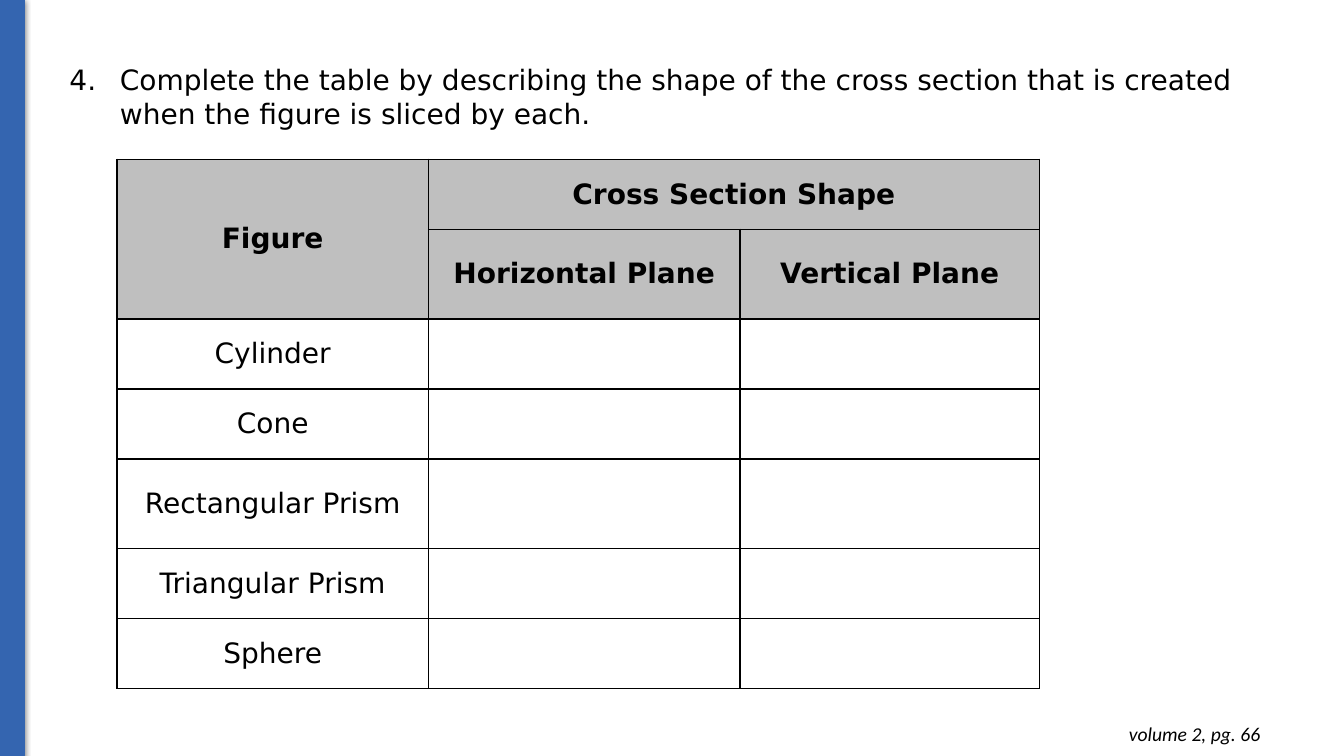
import lxml.etree
import pptx
import pptx.dml.color
import pptx.enum.shapes
import pptx.enum.text
import pptx.oxml.ns
import pptx.util

Inches = pptx.util.Inches
Pt = pptx.util.Pt
qn = pptx.oxml.ns.qn
ALIGN = pptx.enum.text.PP_ALIGN


def rgb(value):
    return pptx.dml.color.RGBColor.from_string(value)


def add_xml(parent, tag, **attrs):
    return lxml.etree.SubElement(parent, qn(tag), {k: str(v) for k, v in attrs.items()})


class Worksheet:
    """Holds the style and the current slide."""

    BLUE, BLACK, GRAY = "3465B0", "000000", "BFBFBF"
    BODY, FOOT = "DejaVu Sans", "Calibri"

    def __init__(self, slide):
        self.s = slide

    def run(self, p, text, size=20, font=BODY, bold=False, italic=False):
        r = p.add_run()
        r.text = text
        r.font.size = Pt(size)
        r.font.name = font
        r.font.bold = bold
        r.font.italic = italic
        r.font.color.rgb = rgb(self.BLACK)

    def side_bar(self, x, y, w, h):
        sp = self.s.shapes.add_shape(pptx.enum.shapes.MSO_SHAPE.RECTANGLE,
                                     Inches(x), Inches(y), Inches(w), Inches(h))
        sp.fill.solid()
        sp.fill.fore_color.rgb = rgb(self.BLUE)
        sp.line.color.rgb = rgb(self.BLUE)
        sp.line.width = Pt(0.75)
        sp.shadow.inherit = False
        effects = sp._element.spPr.find(qn("a:effectLst"))
        shadow = add_xml(effects, "a:outerShdw", blurRad=Pt(4.5), dist=Pt(1.5),
                         dir=90 * 60000, algn="ctr", rotWithShape=0)
        color = add_xml(shadow, "a:srgbClr", val=self.BLACK)
        add_xml(color, "a:alpha", val=50000)

    def text_box(self, x, y, w, h):
        sp = self.s.shapes.add_textbox(Inches(x), Inches(y), Inches(w), Inches(h))
        sp.text_frame.word_wrap = True
        return sp.text_frame

    def question(self, number, text, *box):
        p = self.text_box(*box).paragraphs[0]
        pPr = p._p.get_or_add_pPr()
        pPr.set("marL", str(Inches(0.5)))
        pPr.set("indent", str(Inches(-0.5)))
        color = add_xml(pPr, "a:buClr")
        add_xml(color, "a:srgbClr", val=self.BLACK)
        add_xml(pPr, "a:buFont", typeface=self.BODY)
        add_xml(pPr, "a:buAutoNum", type="arabicPeriod", startAt=number)
        self.run(p, text)

    def page_reference(self, text, *box):
        tf = self.text_box(*box)
        tf.margin_top = tf.margin_bottom = Inches(0.1)
        p = tf.paragraphs[0]
        p.alignment = ALIGN.RIGHT
        self.run(p, text, size=14, font=self.FOOT, italic=True)

    def cell(self, cell, text, header):
        tcPr = cell._tc.get_or_add_tcPr()
        for side in ("L", "R", "T", "B"):
            line = add_xml(tcPr, "a:ln" + side, w=Pt(1))
            fill = add_xml(line, "a:solidFill")
            add_xml(fill, "a:srgbClr", val=self.BLACK)
        if header:
            cell.fill.solid()
            cell.fill.fore_color.rgb = rgb(self.GRAY)
        else:
            cell.fill.background()
        cell.margin_left = cell.margin_right = Inches(0.07)
        cell.margin_top = cell.margin_bottom = 0
        cell.vertical_anchor = pptx.enum.text.MSO_ANCHOR.MIDDLE
        if text:
            p = cell.text_frame.paragraphs[0]
            p.alignment = ALIGN.CENTER
            self.run(p, text, bold=header)

    def table(self, x, y, widths, heights, rows, header_rows):
        frame = self.s.shapes.add_table(len(rows), len(widths), Inches(x), Inches(y),
                                        Inches(sum(widths)), Inches(sum(heights)))
        table = frame.table
        table.first_row = table.horz_banding = False
        for column, width in zip(table.columns, widths):
            column.width = Inches(width)
        for i, (row, height) in enumerate(zip(rows, heights)):
            table.rows[i].height = Inches(height)
            for j, text in enumerate(row):
                self.cell(table.cell(i, j), text, i < header_rows)
        return table


def main():
    prs = pptx.Presentation()
    prs.slide_width, prs.slide_height = Inches(13.33), Inches(7.5)
    sheet = Worksheet(prs.slides.add_slide(prs.slide_layouts[6]))

    sheet.side_bar(0, -0.01, 0.24, 7.51)
    sheet.page_reference("volume 2, pg. 66", 9.72, 7.06, 2.88, 0.44)
    sheet.question(4, "Complete the table by describing the shape of the cross section "
                   "that is created when the figure is sliced by each.",
                   0.59, 0.57, 11.81, 0.77)

    figures = ["Cylinder", "Cone", "Rectangular Prism", "Triangular Prism", "Sphere"]
    rows = [["Figure", "Cross Section Shape", ""],
            ["", "Horizontal Plane", "Vertical Plane"]]
    rows += [[figure, "", ""] for figure in figures]
    low, tall = 0.695, 0.89
    table = sheet.table(1.16, 1.58, [3.09, 3.09, 2.97],
                        [low, tall, low, low, tall, low, low], rows, header_rows=2)
    table.cell(0, 0).merge(table.cell(1, 0))
    table.cell(0, 1).merge(table.cell(0, 2))

    prs.save("out.pptx")


if __name__ == "__main__":
    main()
